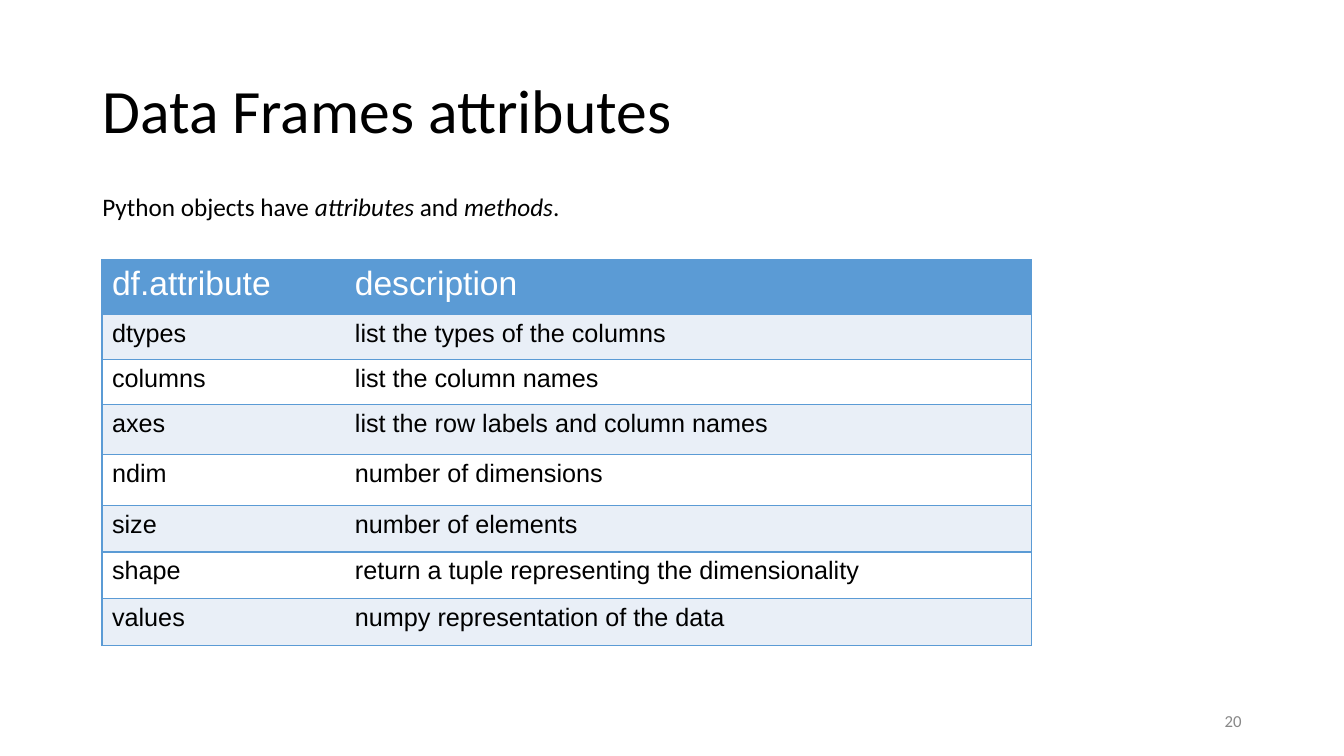
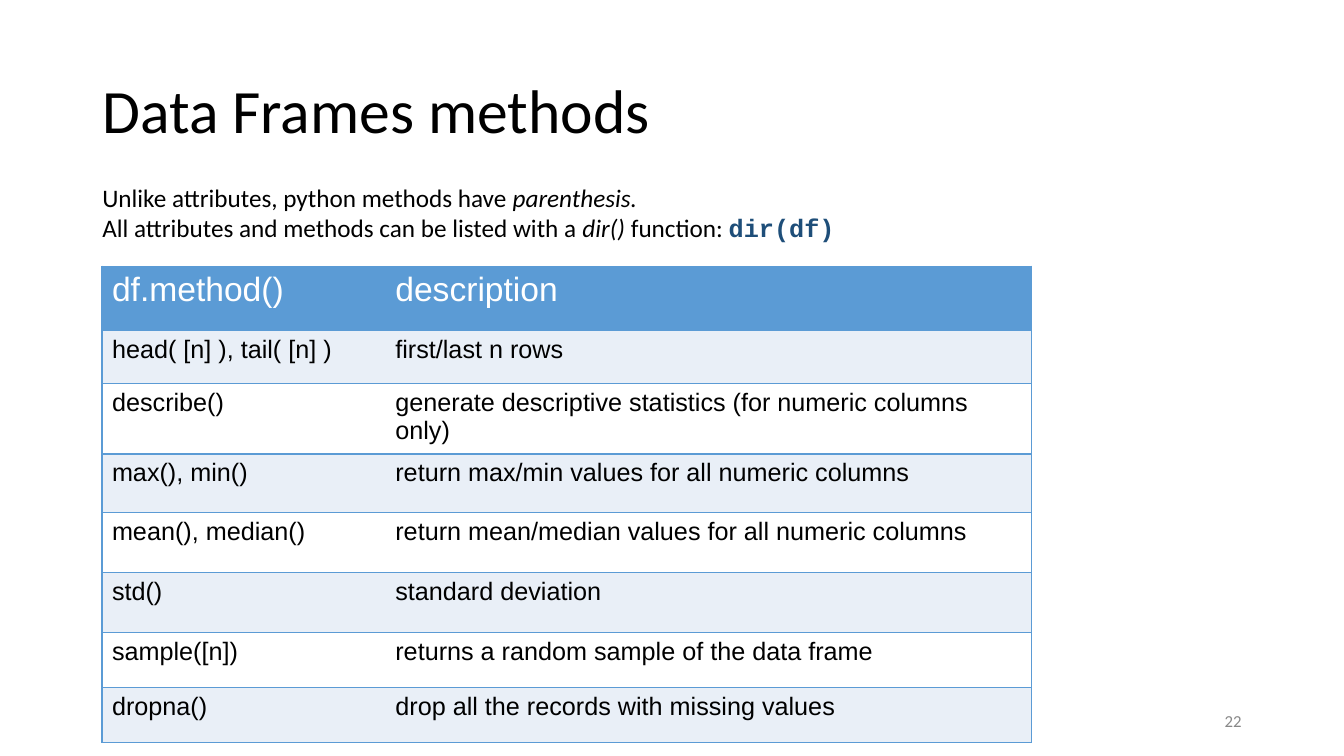
from lxml import etree
from pptx import Presentation
from pptx import util as u
from pptx.dml.color import RGBColor
from pptx.enum import text
from pptx.oxml import ns

BLACK = RGBColor(0x00, 0x00, 0x00)
WHITE = RGBColor(0xFF, 0xFF, 0xFF)
GREY = RGBColor(0x88, 0x88, 0x88)
BLUE = RGBColor(0x5B, 0x9B, 0xD5)
PALE_BLUE = RGBColor(0xE9, 0xEF, 0xF7)
NAVY = RGBColor(0x1E, 0x4E, 0x79)

PLAIN = {"name": "Calibri", "size": u.Pt(18)}
ITALIC = {**PLAIN, "italic": True}
CODE = {**PLAIN, "name": "Courier New", "bold": True}
TITLE = {**PLAIN, "size": u.Pt(44)}
NUMBER = {**PLAIN, "size": u.Pt(12)}
HEADER = {"name": "Arial", "size": u.Pt(24)}
BODY = {"name": "Arial", "size": u.Pt(18)}
NO_GRID = "{2D5ABB26-0587-4C30-8999-92F81FD0307C}"


class Lesson:
    margin = u.Cm(2.33)
    table_left = u.Cm(2.57)
    table_width = u.Cm(23.43)

    def __init__(self):
        self.deck = Presentation()
        self.deck.slide_width = u.Cm(33.87)
        self.deck.slide_height = u.Cm(19.05)
        self.page = None

    def new_page(self, title, number):
        self.page = self.deck.slides.add_slide(self.deck.slide_layouts[6])
        middle = {"vertical_anchor": text.MSO_ANCHOR.MIDDLE}
        self.add_text((self.margin, u.Cm(1.01), u.Cm(29.21), u.Cm(3.68)),
                      [[(title, TITLE, BLACK)]], middle, {"line_spacing": 0.9})
        self.add_text((u.Cm(23.92), u.Cm(17.65), u.Cm(7.62), u.Cm(1.03)),
                      [[(str(number), NUMBER, GREY)]], middle,
                      {"alignment": text.PP_ALIGN.RIGHT})

    def apply(self, target, values):
        for name, value in values.items():
            setattr(target, name, value)

    def add_span(self, para, wording, style, color):
        span = para.add_run()
        span.text = wording
        self.apply(span.font, style)
        span.font.color.rgb = color

    def add_text(self, place, lines, frame_format=None, para_format=None):
        frame = self.page.shapes.add_textbox(*place).text_frame
        self.apply(frame, {"word_wrap": True, **(frame_format or {})})
        for index, line in enumerate(lines):
            para = frame.add_paragraph() if index else frame.paragraphs[0]
            self.apply(para, para_format or {})
            for wording, style, color in line:
                self.add_span(para, wording, style, color)

    def add_intro(self, top, height, lines):
        self.add_text((self.margin, u.Cm(top), u.Cm(20.8), u.Cm(height)), lines)

    def add_border(self, cell, side):
        line = etree.SubElement(cell._tc.get_or_add_tcPr(), ns.qn("a:ln" + side),
                                w=str(u.Pt(1)))
        fill = etree.SubElement(line, ns.qn("a:solidFill"))
        etree.SubElement(fill, ns.qn("a:srgbClr"), val=str(BLUE))

    def add_table(self, top, first_width, heights, rows):
        heights = [u.Cm(height) for height in heights]
        first = u.Cm(first_width)
        widths = [first, self.table_width - first]
        table = self.page.shapes.add_table(
            len(rows), len(widths), self.table_left, u.Cm(top),
            self.table_width, sum(heights)).table
        table.horz_banding = False
        table._tbl.tblPr.find(ns.qn("a:tableStyleId")).text = NO_GRID
        for column, width in zip(table.columns, widths):
            column.width = width
        for index, (row, height, wordings) in enumerate(
                zip(table.rows, heights, rows)):
            row.height = height
            style, color, shade = BODY, BLACK, PALE_BLUE if index % 2 else WHITE
            if index == 0:
                style, color, shade = HEADER, WHITE, BLUE
            for cell, wording, outer in zip(row.cells, wordings, "LR"):
                for side in outer + "TB":
                    self.add_border(cell, side)
                cell.fill.solid()
                cell.fill.fore_color.rgb = shade
                self.add_span(cell.text_frame.paragraphs[0], wording, style, color)


def main():
    lesson = Lesson()

    lesson.new_page("Data Frames attributes", 20)
    lesson.add_intro(4.7, 1.03, [[
        ("Python objects have ", PLAIN, BLACK),
        ("attributes", ITALIC, BLACK),
        (" and ", PLAIN, BLACK),
        ("methods", ITALIC, BLACK),
        (".", PLAIN, BLACK),
    ]])
    lesson.add_table(6.55, 6.12, [1.37, 1.14, 1.14, 1.26, 1.27, 1.18, 1.18, 1.18], [
        ("df.attribute", "description"),
        ("dtypes", "list the types of the columns"),
        ("columns", "list the column names"),
        ("axes", "list the row labels and column names"),
        ("ndim", "number of dimensions"),
        ("size", "number of elements"),
        ("shape", "return a tuple representing the dimensionality"),
        ("values", "numpy representation of the data"),
    ])

    lesson.new_page("Data Frames methods", 22)
    lesson.add_table(6.71, 7.14, [1.61, 1.34, 1.34, 1.47, 1.51, 1.51, 1.39, 1.39], [
        ("df.method()", "description"),
        ("head( [n] ), tail( [n] )", "first/last n rows"),
        ("describe()", "generate descriptive statistics (for numeric columns only)"),
        ("max(), min()", "return max/min values for all numeric columns"),
        ("mean(), median()", "return mean/median values for all numeric columns"),
        ("std()", "standard deviation"),
        ("sample([n])", "returns a random sample of the data frame"),
        ("dropna()", "drop all the records with missing values"),
    ])
    lesson.add_intro(4.47, 1.8, [
        [("Unlike attributes, python methods have ", PLAIN, BLACK),
         ("parenthesis.", ITALIC, BLACK)],
        [("All attributes and methods can be listed with a ", PLAIN, BLACK),
         ("dir() ", ITALIC, BLACK),
         ("function: ", PLAIN, BLACK),
         ("dir(df)", CODE, NAVY)],
    ])

    lesson.deck.save("out.pptx")


if __name__ == "__main__":
    main()
